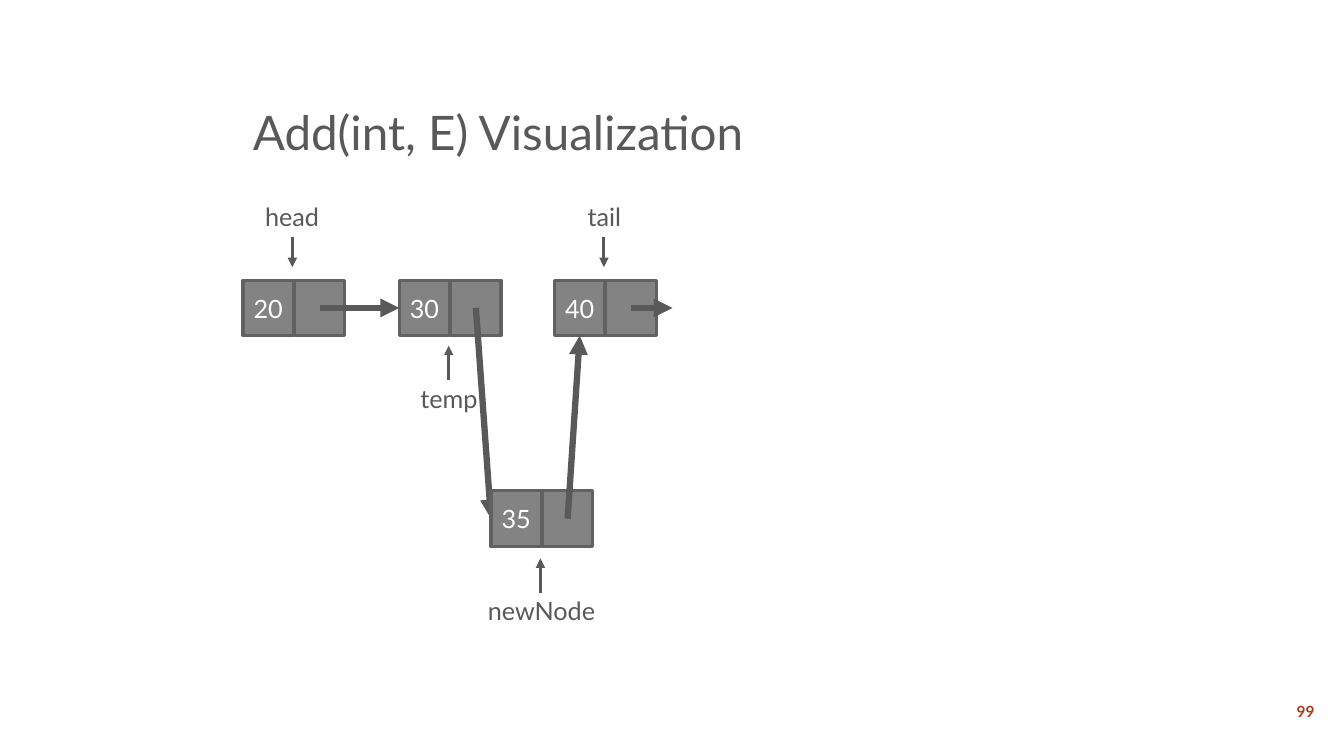
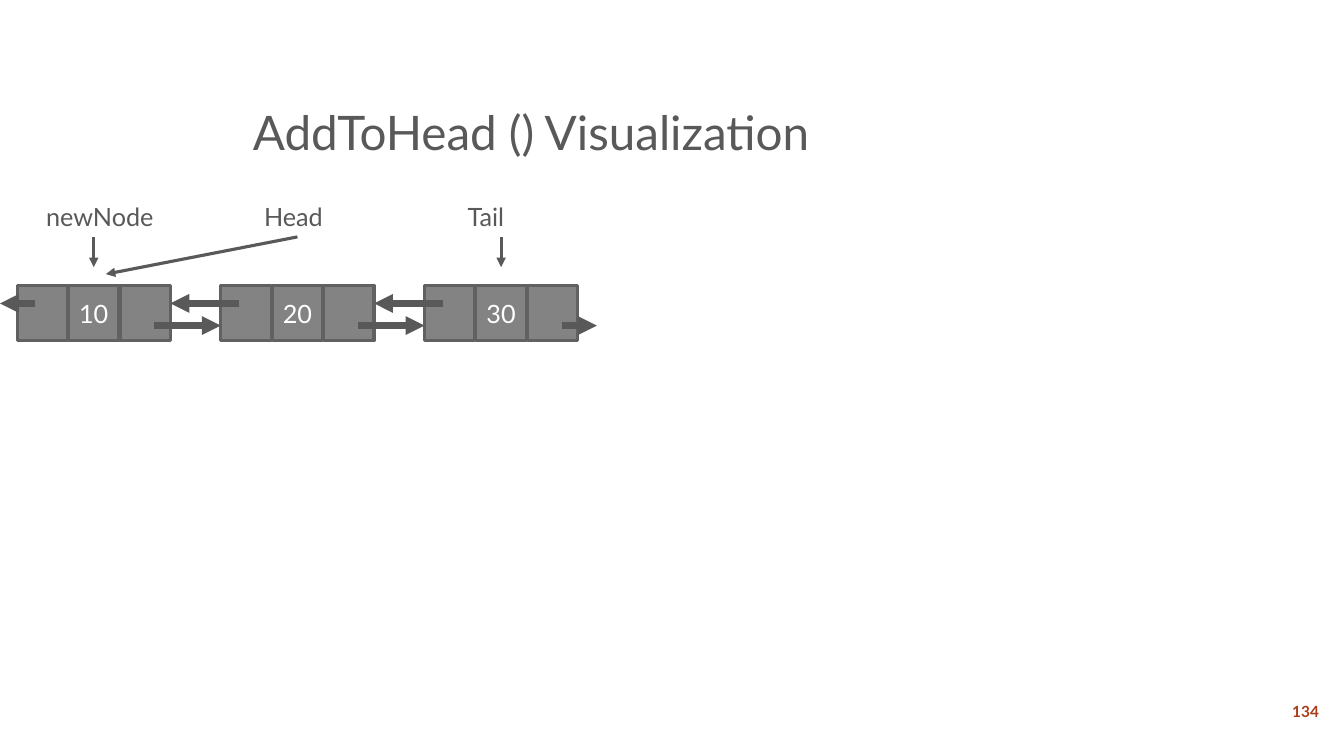
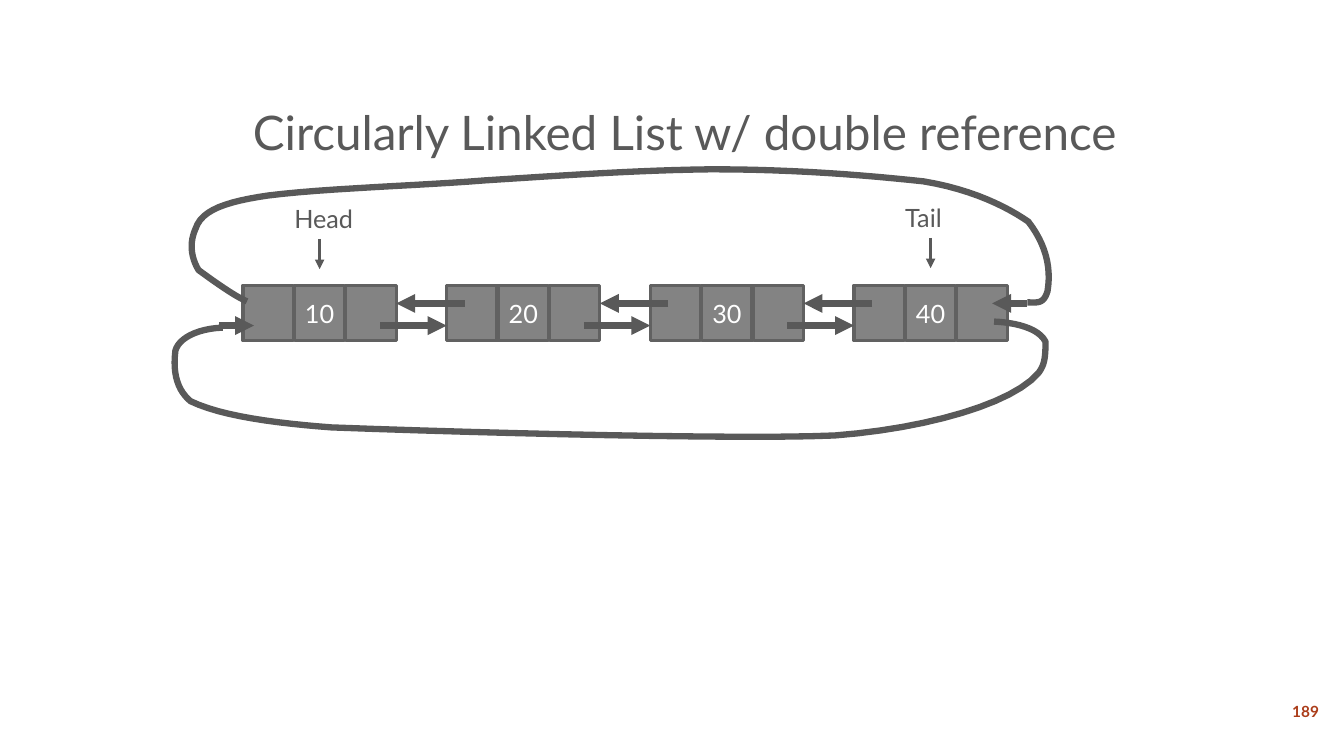
"""Three slides that draw linked lists as boxes, links and pointers."""
from lxml import etree
from pptx import Presentation
from pptx.dml.color import RGBColor
from pptx.enum.shapes import MSO_CONNECTOR, MSO_SHAPE
from pptx.enum.text import MSO_ANCHOR, MSO_AUTO_SIZE, PP_ALIGN
from pptx.oxml.ns import qn
from pptx.util import Inches, Pt

RECTANGLE = MSO_SHAPE.RECTANGLE
STRAIGHT = MSO_CONNECTOR.STRAIGHT
MIDDLE, BOTTOM, TOP = MSO_ANCHOR.MIDDLE, MSO_ANCHOR.BOTTOM, MSO_ANCHOR.TOP
LEFT, CENTER = PP_ALIGN.LEFT, PP_ALIGN.CENTER
FIT_TEXT = MSO_AUTO_SIZE.SHAPE_TO_FIT_TEXT
SIDE_LEFT, SIDE_BOTTOM = 1, 2

FONT = "Lato"
COLORS = {"ink": "595959", "cell": "838383", "border": "616161",
          "value": "FFFFFF", "number": "AB3C19"}
THIN, THICK = 2.25, 4.5
CELL_WIDTH, CELL_HEIGHT, CELL_STEP = 0.5, 0.55, 0.51

LABEL_WIDTHS = {"head": 0.78, "Head": 0.81, "tail": 0.56, "Tail": 0.59,
                "temp": 0.78, "newNode": 1.27}
LABEL_HEIGHT, LABEL_TOP = 0.4, 1.95
DOWN = {"start": LABEL_HEIGHT, "length": 0.3}
UP = {"start": 0.02, "length": -0.34}

SINGLE_CENTER = 0.49
DOUBLE_CENTER = CELL_STEP + CELL_WIDTH / 2
DOUBLE_TOP, DOUBLE_PITCH = 2.83, 2.02
BACK_Y, NEXT_Y = DOUBLE_TOP + 0.18, DOUBLE_TOP + 0.4
BACK_START, BACK_END = 0.18, -0.5
NEXT_START, NEXT_END = 1.36, 2.02
STUB = 0.35
CLOSING_NEXT, CLOSING_BACK = -0.24, 1.72
CURVE_STEPS = 12

SINGLE = {
    "title": "Add(int, E) Visualization", "number": 99,
    "nodes": {"20": (2.41, 2.78), "30": (3.96, 2.78), "40": (5.5, 2.78), "35": (4.87, 4.87)},
    "links": {"20": ("30", SIDE_LEFT), "30": ("35", SIDE_LEFT), "35": ("40", SIDE_BOTTOM)},
    "labels": [("head", "20", 2.53, LABEL_TOP, DOWN), ("tail", "40", 5.73, LABEL_TOP, DOWN),
               ("newNode", "35", 4.74, 5.86, UP), ("temp", "30", 4.07, 3.75, UP)],
}
ADD_TO_HEAD = {
    "title": "AddToHead () Visualization", "number": 134,
    "left": 0.17, "values": ["10", "20", "30"], "circular": False,
    "labels": [("newNode", "10", 0.36, LABEL_TOP, DOWN), ("Head", "20", 2.52, LABEL_TOP, DOWN),
               ("Tail", "30", 4.54, LABEL_TOP, DOWN)],
    "tips": {"Head": (1.05, 2.72)},
}
CIRCULAR = {
    "title": "Circularly Linked List w/ double reference", "number": 189,
    "left": 2.41, "values": ["10", "20", "30", "40"], "circular": True,
    "labels": [("Head", "10", 2.82, 1.97, DOWN), ("Tail", "40", 8.88, 1.96, DOWN)],
}
LOOPS = {
    "last to first": {
        "start": (9.86, 3.19),
        "bends": [((10.06, 3.2), (10.3, 3.25), (10.37, 3.39)),
                  ((10.37, 3.55), (10.36, 3.62), (10.3, 3.7)),
                  ((10.05, 4), (9.2, 4.25), (8.28, 4.32)),
                  ((7.4, 4.36), (4.9, 4.3), (3.29, 4.24)),
                  ((2.75, 4.2), (2.2, 4.13), (1.89, 3.98)),
                  ((1.77, 3.88), (1.71, 3.72), (1.74, 3.48)),
                  ((1.77, 3.36), (1.95, 3.26), (2.21, 3.25))],
    },
    "first to last": {
        "start": (2.45, 2.99),
        "bends": [((2.33, 2.94), (2.12, 2.79), (1.97, 2.68)),
                  ((1.89, 2.55), (1.88, 2.4), (1.94, 2.27)),
                  ((2, 2.08), (2.25, 2), (2.66, 1.94)),
                  ((3.2, 1.87), (4.2, 1.84), (4.81, 1.79)),
                  ((5.6, 1.74), (6.3, 1.69), (7.05, 1.68)),
                  ((7.9, 1.68), (8.6, 1.74), (9.16, 1.8)),
                  ((9.65, 1.88), (10, 2.06), (10.2, 2.2)),
                  ((10.37, 2.42), (10.43, 2.65), (10.39, 2.89)),
                  ((10.35, 3.02), (10.29, 3), (10.19, 3))],
    },
}


def color(name):
    return RGBColor.from_string(COLORS[name])


def write(frame, text, size, ink, align=LEFT, anchor=TOP, bold=False):
    frame.vertical_anchor = anchor
    para = frame.paragraphs[0]
    para.text = text
    para.alignment = align
    para.font.name, para.font.size, para.font.bold = FONT, Pt(size), bold
    para.font.color.rgb = color(ink)
    return para


def add_text(page, text, left, top, width, height, size, ink="ink", wrap=True, **style):
    box = page.shapes.add_textbox(*map(Inches, (left, top, width, height)))
    box.text_frame.word_wrap = wrap
    if not wrap:
        box.text_frame.auto_size = FIT_TEXT
    return write(box.text_frame, text, size, ink, **style)


def add_page(deck, content):
    page = deck.slides.add_slide(deck.slide_layouts[6])
    title = add_text(page, content["title"], 2.41, 0.33, 10.25, 1.31, 34, anchor=BOTTOM)
    title.line_spacing = 0.9
    add_text(page, str(content["number"]), 12.66, 6.87, 0.58, 0.38, 11, "number",
             align=CENTER, anchor=MIDDLE, bold=True)
    return page


def add_cell(page, left, top, value):
    cell = page.shapes.add_shape(RECTANGLE, *map(Inches, (left, top, CELL_WIDTH, CELL_HEIGHT)))
    cell.shadow.inherit = False
    cell.fill.solid()
    cell.fill.fore_color.rgb = color("cell")
    cell.line.color.rgb = color("border")
    cell.line.width = Pt(THIN)
    if value:
        write(cell.text_frame, value, 18, "value", CENTER, MIDDLE)
    return cell


def add_node(page, left, top, values):
    return [add_cell(page, left + i * CELL_STEP, top, value) for i, value in enumerate(values)]


def add_arrow(page, start, end, width):
    arrow = page.shapes.add_connector(STRAIGHT, *map(Inches, start + end))
    arrow.line.color.rgb = color("ink")
    arrow.line.width = Pt(width)
    etree.SubElement(arrow.line._get_or_add_ln(), qn("a:tailEnd"), type="triangle")
    etree.SubElement(arrow._element.spPr, qn("a:effectLst"))
    return arrow


def add_link(page, start_x, end_x, y):
    return add_arrow(page, (start_x, y), (end_x, y), THICK)


def bezier_point(corners, t):
    weights = ((1 - t) ** 3, 3 * t * (1 - t) ** 2, 3 * t ** 2 * (1 - t), t ** 3)
    return tuple(Inches(sum(weight * value for weight, value in zip(weights, axis)))
                 for axis in zip(*corners))


def add_loop(page, start, bends):
    points = []
    builder = page.shapes.build_freeform(*map(Inches, start))
    for bend in bends:
        corners = (start, *bend)
        points += [bezier_point(corners, step / CURVE_STEPS)
                   for step in range(1, CURVE_STEPS + 1)]
        start = bend[-1]
    builder.add_line_segments(points, close=False)
    loop = builder.convert_to_shape()
    loop.shadow.inherit = False
    loop.fill.background()
    loop.line.color.rgb = color("ink")
    loop.line.width = Pt(THICK)


def add_labels(page, content, centers):
    tips = content.get("tips", {})
    for text, node, left, top, direction in content["labels"]:
        add_text(page, text, left, top, LABEL_WIDTHS[text], LABEL_HEIGHT, 18, wrap=False)
        x, y = centers[node], top + direction["start"]
        tip = tips.get(text, (x, y + direction["length"]))
        add_arrow(page, (x, y), tip, THIN)


def draw_single(deck, content):
    page = add_page(deck, content)
    value_cells, links, centers = {}, {}, {}
    for value, (left, top) in content["nodes"].items():
        value_cells[value] = add_node(page, left, top, [value, ""])[0]
        start_x = left + CELL_STEP + CELL_WIDTH / 2
        links[value] = add_link(page, start_x, start_x + 0.41, top + CELL_HEIGHT / 2)
        centers[value] = left + SINGLE_CENTER
    for value, (target, side) in content["links"].items():
        links[value].end_connect(value_cells[target], side)
    add_labels(page, content, centers)


def draw_double(deck, content):
    page = add_page(deck, content)
    lefts = {value: content["left"] + i * DOUBLE_PITCH
             for i, value in enumerate(content["values"])}
    for value, left in lefts.items():
        add_node(page, left, DOUBLE_TOP, ["", value, ""])
    first, *later = lefts.values()
    *earlier, last = lefts.values()
    for left in later:
        add_link(page, left + BACK_START, left + BACK_END, BACK_Y)
    for left in earlier:
        add_link(page, left + NEXT_START, left + NEXT_END, NEXT_Y)
    if content["circular"]:
        next_x, back_x = first + CLOSING_NEXT, last + CLOSING_BACK
        add_link(page, next_x, next_x + STUB, NEXT_Y)
        add_link(page, back_x, back_x - STUB, BACK_Y)
        for loop in LOOPS.values():
            add_loop(page, loop["start"], loop["bends"])
    else:
        back_x, next_x = first + BACK_START, last + NEXT_START
        add_link(page, back_x, back_x - STUB, BACK_Y)
        add_link(page, next_x, next_x + STUB, NEXT_Y)
    add_labels(page, content, {value: left + DOUBLE_CENTER for value, left in lefts.items()})


def main():
    deck = Presentation()
    deck.slide_width, deck.slide_height = Inches(13.33), Inches(7.5)
    draw_single(deck, SINGLE)
    draw_double(deck, ADD_TO_HEAD)
    draw_double(deck, CIRCULAR)
    deck.save("out.pptx")


if __name__ == "__main__":
    main()
